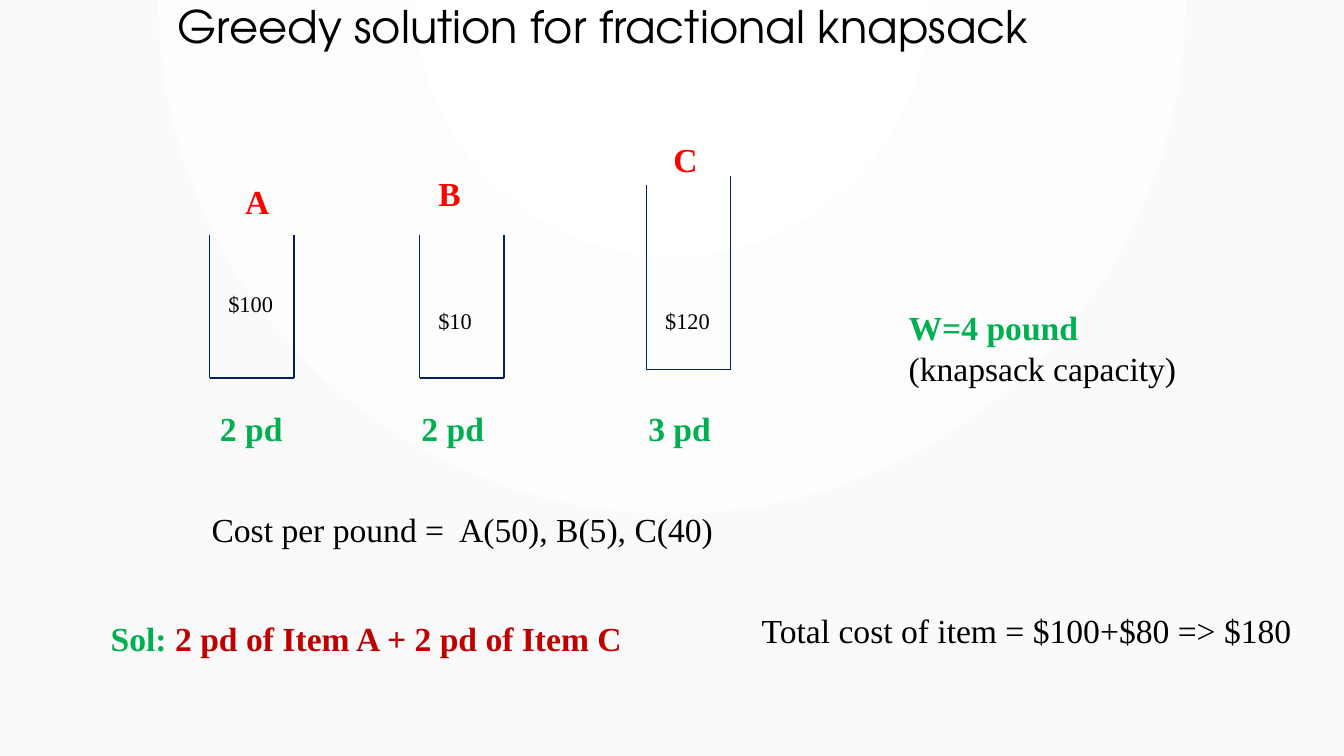
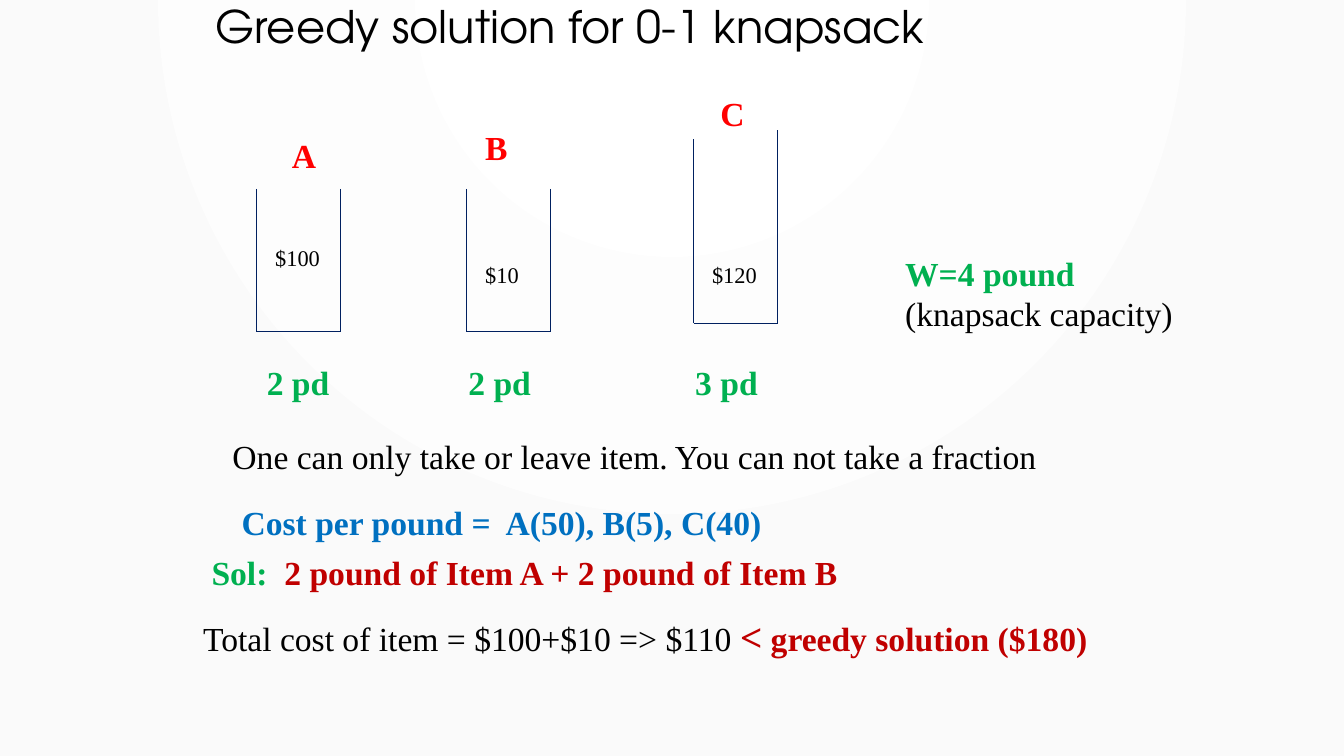
"""Builds two slides on greedy solutions for the knapsack problem."""
from collections import namedtuple

from pptx import Presentation
from pptx import util as u
from pptx.dml.color import RGBColor
from pptx.enum import shapes, text
from pptx.oxml import parse_xml
from pptx.oxml import ns

COLOURS = {
    "centre": "FFFFFF", "edge": "FAFAFA", "text": "000000", "line": "002060",
    "name": "FF0000", "green": "00B050", "answer": "C00000", "blue": "0070C0",
}
FORMATS = {
    "title": {"name": "TeX Gyre Adventor", "size": u.Pt(32)},
    "body": {"name": "Times New Roman", "size": u.Pt(24)},
    "strong": {"name": "Times New Roman", "size": u.Pt(24), "bold": True},
    "sign": {"name": "Times New Roman", "size": u.Pt(28), "bold": True},
    "price": {"name": "Times New Roman", "size": u.Pt(16)},
}
Item = namedtuple("Item", "name price weight left bottom wall_tops name_at price_top weight_shift")
ITEMS = [
    Item("A", "$100", "2 pd", 150, 270, (168, 168), (18, 126), 204, 0),
    Item("B", "$10", "2 pd", 300, 270, (168, 168), (6, 120), 216, -6),
    Item("C", "$120", "3 pd", 462, 264, (132.5, 126), (12, 96), 216, -6),
]
ITEM_WIDTH = 60
COST = "Cost per pound =  A(50), B(5), C(40)"


class Deck:
    """Holds the style and the current slide."""

    def __init__(self):
        self.presentation = Presentation()
        self.presentation.slide_width = u.Pt(960)
        self.presentation.slide_height = u.Pt(540)
        self.slide = None

    def add_slide(self, title, left):
        self.slide = self.presentation.slides.add_slide(self.presentation.slide_layouts[6])
        fill = self.slide.background.fill
        fill.gradient()
        for stop, colour in zip(fill.gradient_stops, ("centre", "edge")):
            stop.color.rgb = RGBColor.from_string(COLOURS[colour])
        linear = next(self.slide.element.iter(ns.qn("a:lin")))
        linear.getparent().replace(linear, parse_xml(
            f'<a:path {ns.nsdecls("a")} path="circle">'
            '<a:fillToRect l="43000" t="0" r="43000" b="100000"/></a:path>'))
        box = self.add_text(left, 0, 740, 84, [[(title, "title", "text")]])
        box.text_frame.paragraphs[0].line_spacing = 0.9

    def add_text(self, left, top, width, height, lines, group=None):
        parent = group or self.slide
        box = parent.shapes.add_textbox(u.Pt(left), u.Pt(top), u.Pt(width), u.Pt(height))
        frame = box.text_frame
        frame.word_wrap = True
        frame.vertical_anchor = text.MSO_ANCHOR.TOP
        for index, runs in enumerate(lines):
            paragraph = frame.add_paragraph() if index else frame.paragraphs[0]
            for wording, style, colour in runs:
                run = paragraph.add_run()
                run.text = wording
                for attribute, value in FORMATS[style].items():
                    setattr(run.font, attribute, value)
                run.font.color.rgb = RGBColor.from_string(COLOURS[colour])
        return box

    def add_line(self, start, end, group):
        line = group.shapes.add_connector(
            shapes.MSO_CONNECTOR.STRAIGHT, *(u.Pt(value) for value in (*start, *end)))
        line.line.color.rgb = RGBColor.from_string(COLOURS["line"])
        line.line.width = u.Pt(0.75)
        line.element.spPr.append(parse_xml(f'<a:effectLst {ns.nsdecls("a")}/>'))

    def add_item(self, item, shift_x, shift_y):
        group = self.slide.shapes.add_group_shape()
        left, bottom = item.left + shift_x, item.bottom + shift_y
        right = left + ITEM_WIDTH
        for x, top in zip((left, right), item.wall_tops):
            self.add_line((x, top + shift_y), (x, bottom), group)
        self.add_line((left, bottom), (right, bottom), group)
        name_shift, name_top = item.name_at
        labels = [
            (name_shift, name_top, 42, 36, item.name, "strong", "name"),
            (6, item.price_top, 48, 27, item.price, "price", "text"),
            (item.weight_shift, 288, 72, 36, item.weight, "strong", "green"),
        ]
        for x, top, width, height, *run in labels:
            self.add_text(left + x, top + shift_y, width, height, [[run]], group)

    def add_items(self, shift_x=0, shift_y=0):
        for item in ITEMS:
            self.add_item(item, shift_x, shift_y)

    def add_capacity(self, left, top):
        self.add_text(left, top, 216, 65.5, [
            [("W=4 pound", "strong", "green")],
            [("(knapsack capacity)", "body", "text")],
        ])

    def add_statement(self, left, top, width, *runs):
        self.add_text(left, top, width, 36.5, [runs])


def main():
    deck = Deck()

    deck.add_slide("Greedy solution for fractional knapsack", 120)
    deck.add_capacity(642, 216)
    deck.add_items()
    deck.add_statement(144, 360, 444, (COST, "body", "text"))
    deck.add_statement(72, 438, 444, ("Sol: ", "strong", "green"),
                       ("2 pd of Item A + 2 pd of Item C", "strong", "answer"))
    deck.add_statement(537, 432, 426, ("Total cost of item = $100+$80 => $180", "body", "text"))

    deck.add_slide("Greedy solution for 0-1 knapsack", 147)
    deck.add_capacity(639.5, 177)
    deck.add_items(33.5, -33)
    deck.add_statement(159, 308, 642, (
        "One can only take or leave item. You can not take a fraction", "body", "text"))
    deck.add_statement(165.5, 355, 444, (COST, "strong", "blue"))
    deck.add_statement(144, 391, 672, ("Sol:  ", "strong", "green"),
                       ("2 pound of Item A + 2 pound of Item B", "strong", "answer"))
    deck.add_statement(138, 434, 666, ("Total cost of item = $100+$10 => $110 ", "body", "text"),
                       ("<", "sign", "answer"), (" greedy solution ($180)", "strong", "answer"))

    deck.presentation.save("out.pptx")


if __name__ == "__main__":
    main()
